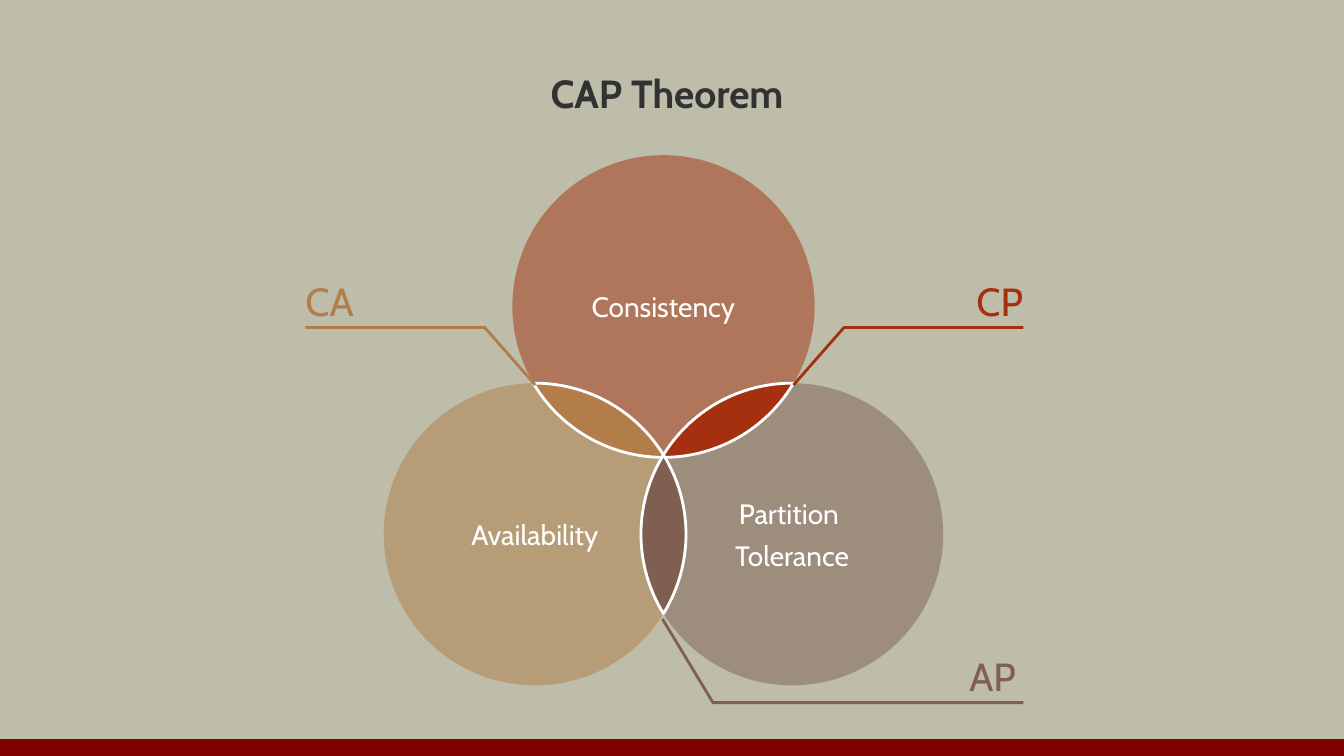
from math import acos, atan2, cos, hypot, sin, tan

from lxml.etree import SubElement
from pptx import Presentation
from pptx.dml.color import RGBColor
from pptx.enum.shapes import MSO_CONNECTOR as LINE, MSO_SHAPE as SHAPE
from pptx.enum.text import MSO_ANCHOR as ANCHOR, PP_ALIGN as ALIGN
from pptx.oxml.ns import qn
from pptx.util import Inches, Pt

W, H = 13.33, 7.5
FONT = "Cabin"
WHITE, INK, BAR, SAGE = "FFFFFF", "323232", "800000", "BDBDA9"
TAN, RUST, BROWN = "B27D49", "A5300F", "7F5F52"


def rgb(value):
    return RGBColor.from_string(value)


def share(x, y, w, h):
    return x * W / 100, y * H / 100, w * W / 100, h * H / 100


def write(sp, text, size=20, color=WHITE, bold=False, align=ALIGN.CENTER,
          anchor=ANCHOR.MIDDLE, inset=0, gap=0):
    tf = sp.text_frame
    tf.word_wrap = True
    tf.vertical_anchor = anchor
    tf.margin_left = tf.margin_right = Inches(inset)
    tf.margin_top = tf.margin_bottom = Inches(inset)
    for i, line in enumerate(text.split("\n")):
        p = tf.add_paragraph() if i else tf.paragraphs[0]
        p.alignment = align
        p.space_before = Pt(gap if i else 0)
        r = p.add_run()
        r.text = line
        r.font.name, r.font.size, r.font.bold = FONT, Pt(size), bold
        r.font.color.rgb = rgb(color)


def add_text(slide, box, text, **fmt):
    sp = slide.shapes.add_textbox(*map(Inches, box))
    write(sp, text, **fmt)


def add_outline(slide, points, line, fill=None):
    nodes = [(Inches(x), Inches(y)) for x, y in points]
    fb = slide.shapes.build_freeform(*nodes[0])
    fb.add_line_segments(nodes[1:], close=fill is not None)
    sp = fb.convert_to_shape()
    sp.shadow.inherit = False
    if fill:
        sp.fill.solid()
        sp.fill.fore_color.rgb = rgb(fill)
    else:
        sp.fill.background()
    sp.line.color.rgb = rgb(line)
    sp.line.width = Pt(2)
    return sp


def add_circle(slide, center, radius, color, text):
    x, y = center
    box = x - radius, y - radius, 2 * radius, 2 * radius
    sp = slide.shapes.add_shape(SHAPE.OVAL, *map(Inches, box))
    sp.shadow.inherit = False
    sp.fill.solid()
    sp.fill.fore_color.rgb = rgb(color)
    tint = sp.fill._xPr.find(qn("a:solidFill"))[0]
    SubElement(tint, qn("a:alpha")).set("val", "50000")
    sp.line.fill.background()
    write(sp, text, inset=0.2, gap=6)


def arc_pieces(center, radius, start, step):
    x, y = center
    reach = 4 / 3 * tan(step / 4)
    for t in (start, start + step):
        u = t + step
        yield [(x + radius * (cos(t) - reach * sin(t)), y + radius * (sin(t) + reach * cos(t))),
               (x + radius * (cos(u) + reach * sin(u)), y + radius * (sin(u) - reach * cos(u))),
               (x + radius * cos(u), y + radius * sin(u))]


def add_lens(slide, a, b, radius, color):
    dx, dy = b[0] - a[0], b[1] - a[1]
    half = acos(hypot(dx, dy) / 2 / radius)
    pieces = [piece for center, facing in ((a, atan2(dy, dx)), (b, atan2(-dy, -dx)))
              for piece in arc_pieces(center, radius, facing - half, half)]
    ends = [piece[-1] for piece in pieces]
    sp = add_outline(slide, ends[-1:] + ends[:-1], WHITE, color)
    outline = next(sp._element.iter(qn("a:path")))
    for segment in outline.findall(qn("a:lnTo")):
        outline.remove(segment)
    close = outline.find(qn("a:close"))
    for piece in pieces:
        curve = SubElement(outline, qn("a:cubicBezTo"))
        for x, y in piece:
            pt = SubElement(curve, qn("a:pt"))
            pt.set("x", str(Inches(x) - sp.left))
            pt.set("y", str(Inches(y) - sp.top))
    outline.append(close)


def add_venn(slide, box):
    x, y, w, h = box
    radius = 0.57 * h / 2
    top = x + w / 2, y + radius
    left = x + radius, y + h - radius
    right = x + w - radius, y + h - radius
    for center, color, text in ((left, TAN, "Availability"),
                                (top, RUST, "Consistency"),
                                (right, BROWN, "Partition \nTolerance")):
        add_circle(slide, center, radius, color, text)
    for a, b, color in ((left, top, TAN), (top, right, RUST), (left, right, BROWN)):
        add_lens(slide, a, b, radius, color)


def add_callout(slide, box, text, color, route, label_at, align=ALIGN.LEFT):
    x, y, w, h = box
    points = [(x + px * w, y + py * h) for px, py in route]
    add_outline(slide, points, color)
    _, rise, label_w, label_h = share(0, 6.67, 5.1, 6.2)
    label = x + label_at * w, points[0][1] - rise, label_w, label_h
    add_text(slide, label, text, size=28, color=color, align=align, anchor=ANCHOR.TOP)


def add_bar(slide, box):
    x, y, w, h = box
    ends = x, y + h / 2, x + w, y + h / 2
    ln = slide.shapes.add_connector(LINE.STRAIGHT, *map(Inches, ends))
    ln.line.color.rgb = rgb(BAR)
    ln.line.width = Pt(h * 72)
    SubElement(ln._element.spPr, qn("a:effectLst"))


def main():
    prs = Presentation()
    prs.slide_width, prs.slide_height = Inches(W), Inches(H)
    slide = prs.slides.add_slide(prs.slide_layouts[6])
    slide.background.fill.solid()
    slide.background.fill.fore_color.rgb = rgb(SAGE)

    add_bar(slide, share(0, 97.75, 100, 2.22))
    add_text(slide, share(5.8, 9.2, 87.65, 6.2), "CAP Theorem", size=28,
             color=INK, bold=True, anchor=ANCHOR.TOP)
    add_venn(slide, share(28.55, 20.53, 41.63, 70.13))
    add_callout(slide, share(22.73, 43.33, 17.1, 7.6), "CA", TAN,
                [(0, 0), (0.78, 0), (1, 1)], 0)
    add_callout(slide, share(59.04, 43.33, 17.1, 7.6), "CP", RUST,
                [(1, 0), (0.22, 0), (0, 1)], 0.7, ALIGN.RIGHT)
    add_callout(slide, share(49.29, 81.87, 26.86, 11.07), "AP", BROWN,
                [(1, 1), (0.14, 1), (0, 0)], 0.85)
    prs.save("out.pptx")


if __name__ == "__main__":
    main()
